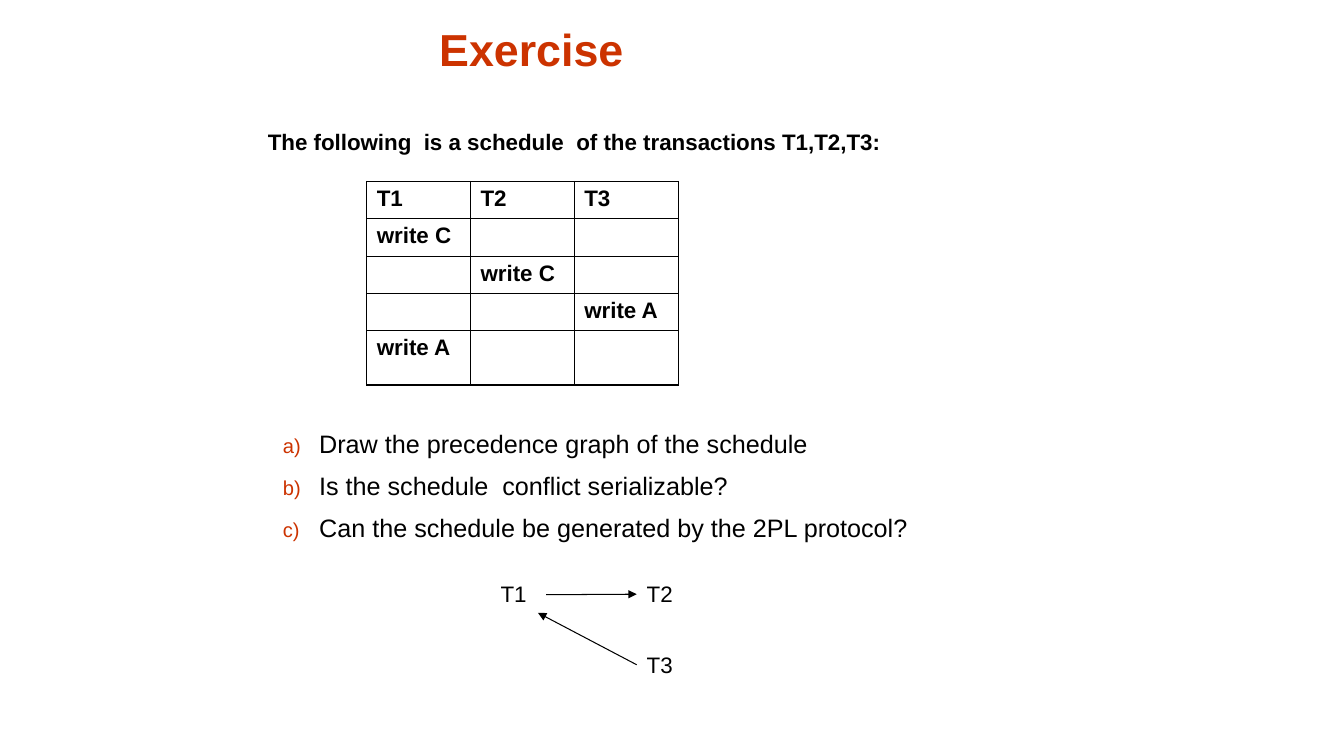
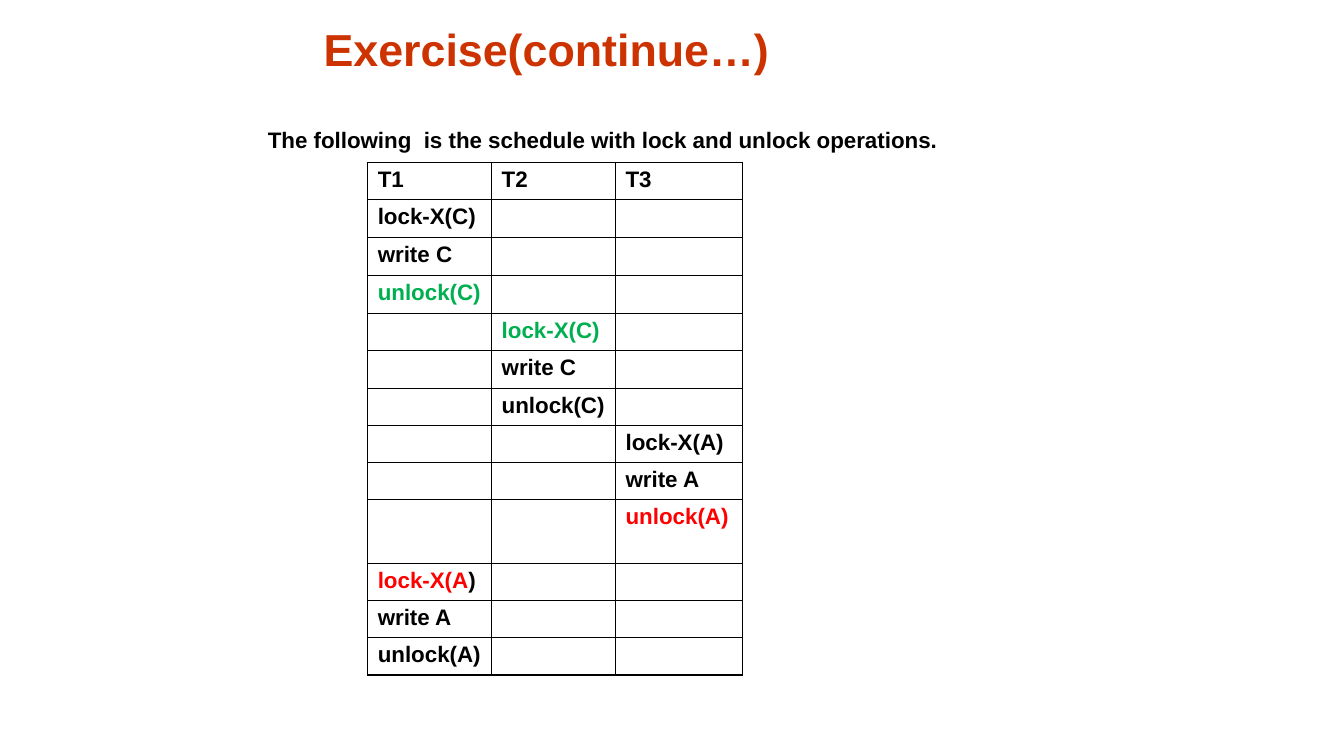
from lxml import etree
from pptx import Presentation
from pptx.dml.color import RGBColor
from pptx.enum.shapes import MSO_CONNECTOR
from pptx.enum.text import MSO_ANCHOR, PP_ALIGN
from pptx.oxml.ns import qn
from pptx.util import Inches, Pt

LEFT, CENTER = PP_ALIGN.LEFT, PP_ALIGN.CENTER
TOP, BOTTOM = MSO_ANCHOR.TOP, MSO_ANCHOR.BOTTOM
STRAIGHT = MSO_CONNECTOR.STRAIGHT
LEFT_SIDE = 1

FONT = "Arial"
BLACK = RGBColor(0x00, 0x00, 0x00)
ACCENT = RGBColor(0xCC, 0x33, 0x00)
GREEN = RGBColor(0x00, 0xB0, 0x50)
RED = RGBColor(0xFF, 0x00, 0x00)

TRANSACTIONS = ["T1", "T2", "T3"]
THIN, THICK = 0.45, 1.08
ROW_HEIGHT = 0.37

# Each step of a schedule: column, then runs of (text, colour)
SCHEDULE = [
    (0, [("write C", BLACK)]),
    (1, [("write C", BLACK)]),
    (2, [("write A", BLACK)]),
    (0, [("write A", BLACK)]),
]
LOCKING_SCHEDULE = [
    (0, [("lock-X(C)", BLACK)]),
    (0, [("write C", BLACK)]),
    (0, [("unlock(C)", GREEN)]),
    (1, [("lock-X(C)", GREEN)]),
    (1, [("write C", BLACK)]),
    (1, [("unlock(C)", BLACK)]),
    (2, [("lock-X(A)", BLACK)]),
    (2, [("write A", BLACK)]),
    (2, [("unlock(A)", RED)]),
    (0, [("lock-X(A", RED), (")", BLACK)]),
    (0, [("write A", BLACK)]),
    (0, [("unlock(A)", BLACK)]),
]
QUESTIONS = [
    "Draw the precedence graph of the schedule",
    "Is the schedule  conflict serializable?",
    "Can the schedule be generated by the 2PL protocol?",
]


def add_run(p, text, size=16, bold=False, color=BLACK):
    r = p.add_run()
    r.text = text
    r.font.name = FONT
    r.font.size = Pt(size)
    r.font.bold = bold
    r.font.color.rgb = color


def add_box(s, x, y, w, h, anchor=TOP):
    box = s.shapes.add_textbox(Inches(x), Inches(y), Inches(w), Inches(h))
    box.text_frame.word_wrap = True
    box.text_frame.vertical_anchor = anchor
    return box


def add_text(s, text, x, y, w, h, align=LEFT, anchor=TOP, **font):
    box = add_box(s, x, y, w, h, anchor)
    p = box.text_frame.paragraphs[0]
    p.alignment = align
    add_run(p, text, **font)
    return box


def add_exercise_slide(prs, title, title_width, intro, intro_y):
    s = prs.slides.add_slide(prs.slide_layouts[6])
    add_text(s, title, 1.12, 0.13, title_width, 0.67, align=CENTER,
             anchor=BOTTOM, size=32, bold=True, color=ACCENT)
    add_text(s, intro, 2.56, intro_y, 7.77, 0.36, bold=True)
    return s


def set_lettering(p):
    """Number the paragraph a), b), c) with a hanging indent."""
    pPr = p._p.get_or_add_pPr()
    pPr.set("marL", str(Inches(0.51)))
    pPr.set("indent", str(-Inches(0.36)))
    color = etree.SubElement(pPr, qn("a:buClr"))
    etree.SubElement(color, qn("a:srgbClr"), val=str(ACCENT))
    etree.SubElement(pPr, qn("a:buSzPct"), val="80000")
    etree.SubElement(pPr, qn("a:buFont"), typeface=FONT)
    etree.SubElement(pPr, qn("a:buAutoNum"), type="alphaLcParenR")


def add_questions(s, questions):
    tf = add_box(s, 2.56, 4.2, 7.14, 1.3).text_frame
    for i, question in enumerate(questions):
        p = tf.add_paragraph() if i else tf.paragraphs[0]
        set_lettering(p)
        if i:
            p.space_before = Pt(8.5)
        add_run(p, question, size=18)


def set_borders(cell, **widths):
    tcPr = cell._tc.get_or_add_tcPr()
    for side in "LRTB":
        ln = etree.SubElement(tcPr, qn(f"a:ln{side}"), w=str(Pt(widths[side])))
        fill = etree.SubElement(ln, qn("a:solidFill"))
        etree.SubElement(fill, qn("a:srgbClr"), val=str(BLACK))


def add_schedule(s, steps, x, y, col_widths, tall_rows, right_edge):
    """Draw one row per step under the headings; tall_rows maps row to height."""
    n_rows, n_cols = len(steps) + 1, len(TRANSACTIONS)
    heights = [tall_rows.get(i, ROW_HEIGHT) for i in range(n_rows)]
    table = s.shapes.add_table(
        n_rows, n_cols, Inches(x), Inches(y),
        Inches(sum(col_widths)), Inches(sum(heights))).table
    table.first_row = table.horz_banding = False
    for column, width in zip(table.columns, col_widths):
        column.width = Inches(width)
    for row, height in zip(table.rows, heights):
        row.height = Inches(height)

    texts = {(0, j): [(name, BLACK)] for j, name in enumerate(TRANSACTIONS)}
    texts.update({(i, j): runs for i, (j, runs) in enumerate(steps, 1)})
    for i in range(n_rows):
        for j in range(n_cols):
            cell = table.cell(i, j)
            cell.margin_right = Inches(0.05)
            set_borders(cell,
                        L=THICK if j == 0 else THIN,
                        R=right_edge if j == n_cols - 1 else THIN,
                        T=THICK if i == 0 else THIN,
                        B=THICK if i == n_rows - 1 else THIN)
            cell.fill.background()
            p = cell.text_frame.paragraphs[0]
            for text, color in texts.get((i, j), []):
                add_run(p, text, bold=True, color=color)
            # Keeps empty cells from stretching their row
            etree.SubElement(p._p, qn("a:endParaRPr"), sz="1600")


def add_arrow(s, x1, y1, x2, y2):
    line = s.shapes.add_connector(
        STRAIGHT, Inches(x1), Inches(y1), Inches(x2), Inches(y2))
    line.line.color.rgb = BLACK
    line.line.width = Pt(0.75)
    etree.SubElement(line.line._get_or_add_ln(), qn("a:tailEnd"),
                     type="triangle")
    etree.SubElement(line._element.spPr, qn("a:effectLst"))
    return line


def add_precedence_graph(s):
    places = [(4.87, 5.71), (6.32, 5.71), (6.32, 6.41)]
    _, t2, t3 = [add_text(s, name, x, y, 0.81, 0.37)
                 for name, (x, y) in zip(TRANSACTIONS, places)]
    add_arrow(s, 5.42, 5.9, 6.32, 5.9).end_connect(t2, LEFT_SIDE)
    add_arrow(s, 6.32, 6.59, 5.34, 6.08).begin_connect(t3, LEFT_SIDE)


def main():
    prs = Presentation()
    prs.slide_width, prs.slide_height = Inches(13.34), Inches(7.5)

    s = add_exercise_slide(
        prs, "Exercise", 8.31,
        "The following  is a schedule  of the transactions T1,T2,T3:", 1.22)
    add_schedule(s, SCHEDULE, 3.64, 1.8, [1.03] * 3, {4: 0.54}, THIN)
    add_questions(s, QUESTIONS)
    add_precedence_graph(s)

    s = add_exercise_slide(
        prs, "Exercise(continue…)", 8.61,
        "The following  is the schedule with lock and unlock operations.", 1.2)
    add_schedule(s, LOCKING_SCHEDULE, 3.65, 1.61, [1.23, 1.23, 1.26],
                 {2: 0.38, 3: 0.38, 9: 0.63}, THICK)

    prs.save("out.pptx")


if __name__ == "__main__":
    main()
